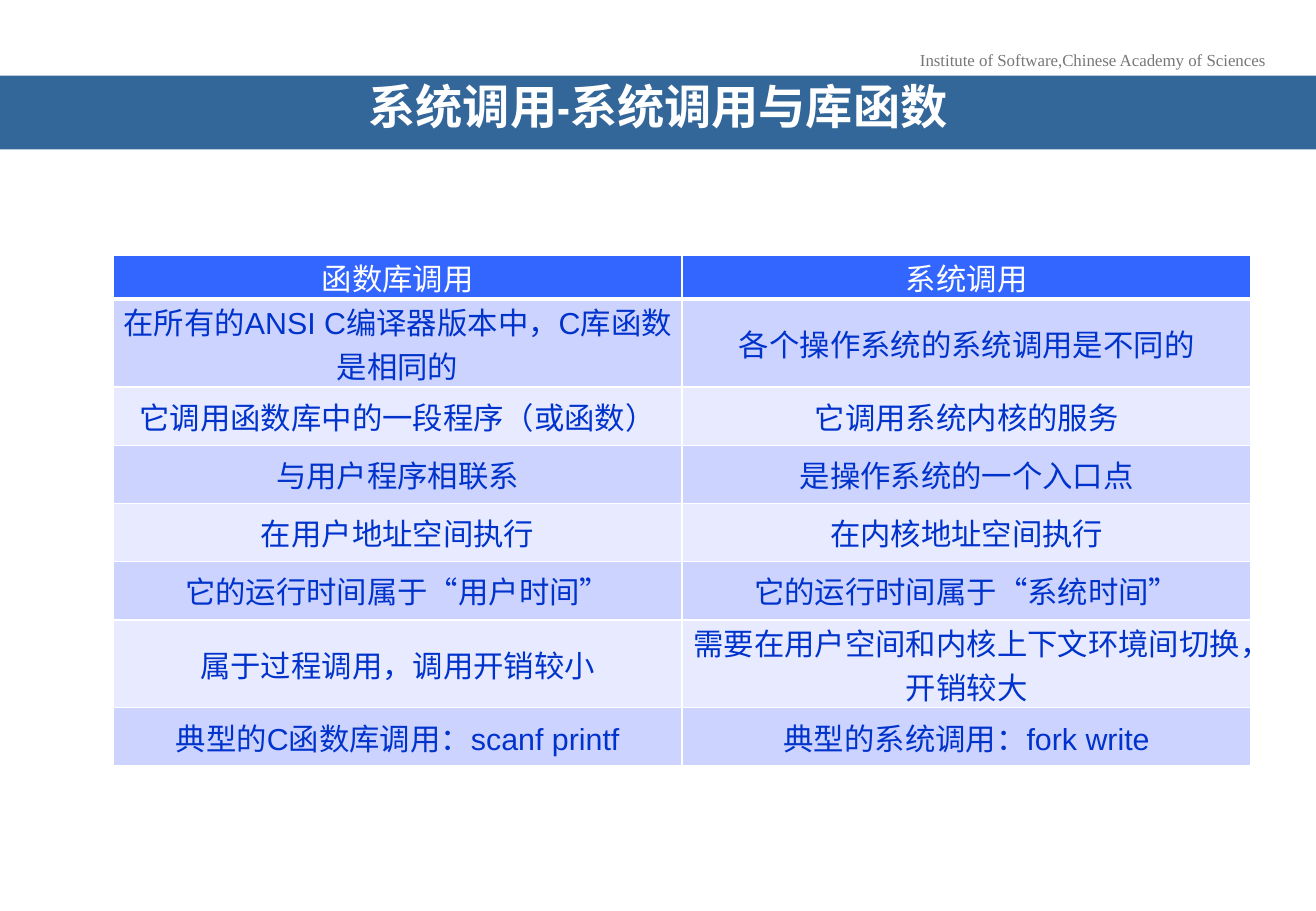
"""Build a slide comparing library calls with system calls."""
from lxml import etree
from pptx import Presentation
from pptx.dml.color import RGBColor
from pptx.enum import lang, text
from pptx.oxml import ns
from pptx.util import Pt

INSTITUTE = "Institute of Software,Chinese Academy of Sciences"
TITLE = "系统调用-系统调用与库函数"
COMPARISON = [
    ("函数库调用", "系统调用"),
    ("在所有的ANSI C编译器版本中，C库函数是相同的", "各个操作系统的系统调用是不同的"),
    ("它调用函数库中的一段程序（或函数）", "它调用系统内核的服务"),
    ("与用户程序相联系", "是操作系统的一个入口点"),
    ("在用户地址空间执行", "在内核地址空间执行"),
    ("它的运行时间属于“用户时间”", "它的运行时间属于“系统时间”"),
    ("属于过程调用，调用开销较小", "需要在用户空间和内核上下文环境间切换，开销较大"),
    ("典型的C函数库调用：scanf printf", "典型的系统调用：fork write"),
]
HEADER_HEIGHT, ONE_LINE, TWO_LINES = 25.2, 34.5, 51.2
TWO_LINE_ROWS = (1, 6)
HEADER_FILL, BAND_FILLS = "3366FF", ("E8EAFF", "CDD3FF")
WHITE, BLUE, GREY, BANNER = "FFFFFF", "0033CC", "777777", "336699"
SLIDE_WIDTH, SLIDE_HEIGHT = 780, 540


def color(value):
    return RGBColor.from_string(value)


def write(frame, words, *, size, font, fill, bold=False, spacing=None,
          margins=(0, 0, 0, 0)):
    frame.word_wrap = True
    frame.auto_size = text.MSO_AUTO_SIZE.NONE
    frame.vertical_anchor = text.MSO_ANCHOR.MIDDLE
    frame.margin_left, frame.margin_top, frame.margin_right, frame.margin_bottom = map(Pt, margins)
    write_paragraph(frame.paragraphs[0], words, size, font, fill, bold, spacing)


def write_paragraph(paragraph, words, size, font, fill, bold=False, spacing=None):
    paragraph.alignment = text.PP_ALIGN.CENTER
    if spacing:
        paragraph.line_spacing = spacing
    run = paragraph.add_run()
    run.text = words
    run.font.size, run.font.name, run.font.bold = Pt(size), font, bold
    run.font.color.rgb = color(fill)
    run.font.language_id = lang.MSO_LANGUAGE_ID.SIMPLIFIED_CHINESE


def add_borders(cell, top, bottom):
    properties = cell._tc.get_or_add_tcPr()
    for side, width in (("L", 1), ("R", 1), ("T", top), ("B", bottom)):
        line = etree.SubElement(properties, ns.qn(f"a:ln{side}"), w=str(Pt(width)))
        solid = etree.SubElement(line, ns.qn("a:solidFill"))
        etree.SubElement(solid, ns.qn("a:srgbClr"), val=WHITE)


def add_comparison(slide):
    heights = [HEADER_HEIGHT if row == 0 else TWO_LINES if row in TWO_LINE_ROWS else ONE_LINE
               for row in range(len(COMPARISON))]
    table = slide.shapes.add_table(len(COMPARISON), 2, Pt(67), Pt(151.2),
                                   Pt(674.6), Pt(sum(heights))).table
    for row, (labels, height) in enumerate(zip(COMPARISON, heights)):
        table.rows[row].height = Pt(height)
        for column, label in enumerate(labels):
            cell = table.cell(row, column)
            add_borders(cell, 3 if row == 1 else 1, 3 if row == 0 else 1)
            cell.fill.solid()
            cell.fill.fore_color.rgb = color(BAND_FILLS[row % 2] if row else HEADER_FILL)
            cell.vertical_anchor = text.MSO_ANCHOR.MIDDLE
            cell.margin_left = cell.margin_right = Pt(5)
            cell.margin_top = cell.margin_bottom = Pt(0)
            write_paragraph(cell.text_frame.paragraphs[0], label, 18, "Arial",
                            BLUE if row else WHITE)


def main():
    deck = Presentation()
    deck.slide_width, deck.slide_height = Pt(SLIDE_WIDTH), Pt(SLIDE_HEIGHT)
    slide = deck.slides.add_slide(deck.slide_layouts[5])

    institute = slide.shapes.add_textbox(Pt(537.1), Pt(25.9), Pt(221), Pt(19.4))
    write(institute.text_frame, INSTITUTE, size=10, font="Times New Roman", fill=GREY)
    institute.text_frame.word_wrap = False

    banner = slide.shapes.title
    banner.left, banner.top, banner.width, banner.height = map(Pt, (0, 44.8, SLIDE_WIDTH, 43.8))
    banner.fill.solid()
    banner.fill.fore_color.rgb = color(BANNER)
    write(banner.text_frame, TITLE, size=28, font="Arial Narrow", fill=WHITE, bold=True,
          spacing=0.7, margins=(22.3, 3.6, 22.3, 3.6))

    add_comparison(slide)
    deck.save("out.pptx")


if __name__ == "__main__":
    main()
